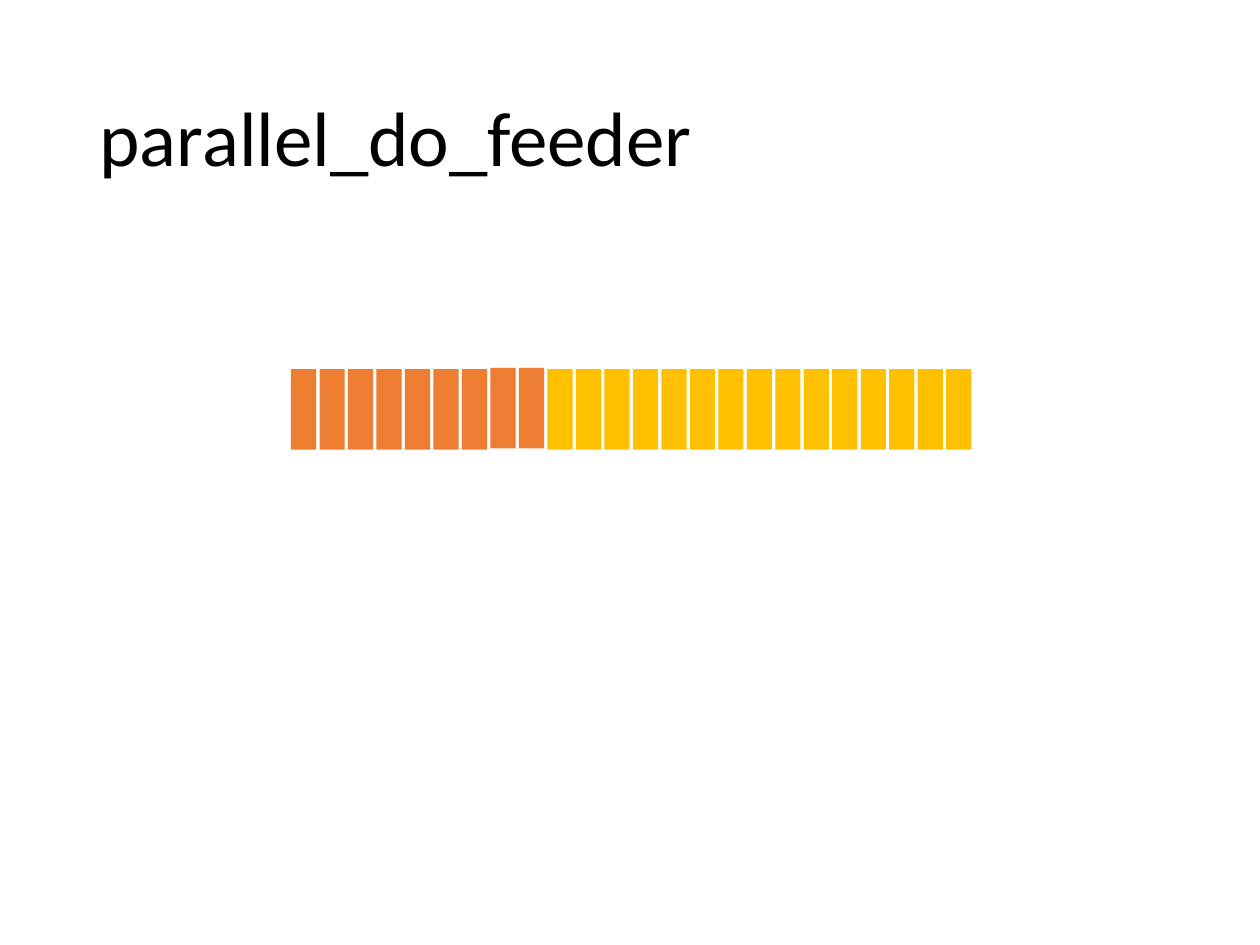
from dataclasses import dataclass

from pptx import Presentation
from pptx.dml.color import RGBColor
from pptx.enum.shapes import MSO_SHAPE
from pptx.enum.text import MSO_ANCHOR, PP_ALIGN
from pptx.slide import Slide
from pptx.util import Inches, Pt

COLOURS = {"title": "000000", "orange": "ED7D31", "gold": "FFC000"}
FIRST_LEFT, LAST_LEFT = 2.31, 7.51
ITEM_WIDTH, ITEM_HEIGHT = 0.2, 0.64


@dataclass(frozen=True)
class ItemGroup:
    count: int
    top: float
    colour: str


ITEM_GROUPS = [
    ItemGroup(7, 2.93, "orange"),
    ItemGroup(2, 2.92, "orange"),
    ItemGroup(15, 2.93, "gold"),
]


def set_title(page: Slide, text: str) -> None:
    title = page.shapes.title
    title.left, title.top = Inches(0.69), Inches(0.4)
    title.width, title.height = Inches(8.62), Inches(1.45)
    frame = title.text_frame
    frame.text = text
    frame.word_wrap = True
    frame.vertical_anchor = MSO_ANCHOR.MIDDLE
    paragraph = frame.paragraphs[0]
    paragraph.alignment = PP_ALIGN.LEFT
    paragraph.line_spacing = 0.9
    font = paragraph.runs[0].font
    font.name = "Calibri"
    font.size = Pt(44)
    font.color.rgb = RGBColor.from_string(COLOURS["title"])


def draw_item(page: Slide, left: float, group: ItemGroup) -> None:
    box = page.shapes.add_shape(
        MSO_SHAPE.RECTANGLE,
        Inches(left), Inches(group.top), Inches(ITEM_WIDTH), Inches(ITEM_HEIGHT),
    )
    box.shadow.inherit = False
    box.fill.solid()
    box.fill.fore_color.rgb = RGBColor.from_string(COLOURS[group.colour])
    box.line.fill.background()


def draw_queue(page: Slide, groups: list[ItemGroup]) -> None:
    items = [group for group in groups for _ in range(group.count)]
    pitch = (LAST_LEFT - FIRST_LEFT) / (len(items) - 1)
    for index, group in enumerate(items):
        draw_item(page, FIRST_LEFT + index * pitch, group)


def main() -> None:
    deck = Presentation()
    deck.slide_width, deck.slide_height = Inches(10), Inches(7.5)
    page = deck.slides.add_slide(deck.slide_layouts.get_by_name("Title Only"))
    set_title(page, "parallel_do_feeder")
    draw_queue(page, ITEM_GROUPS)
    deck.save("out.pptx")


if __name__ == "__main__":
    main()
